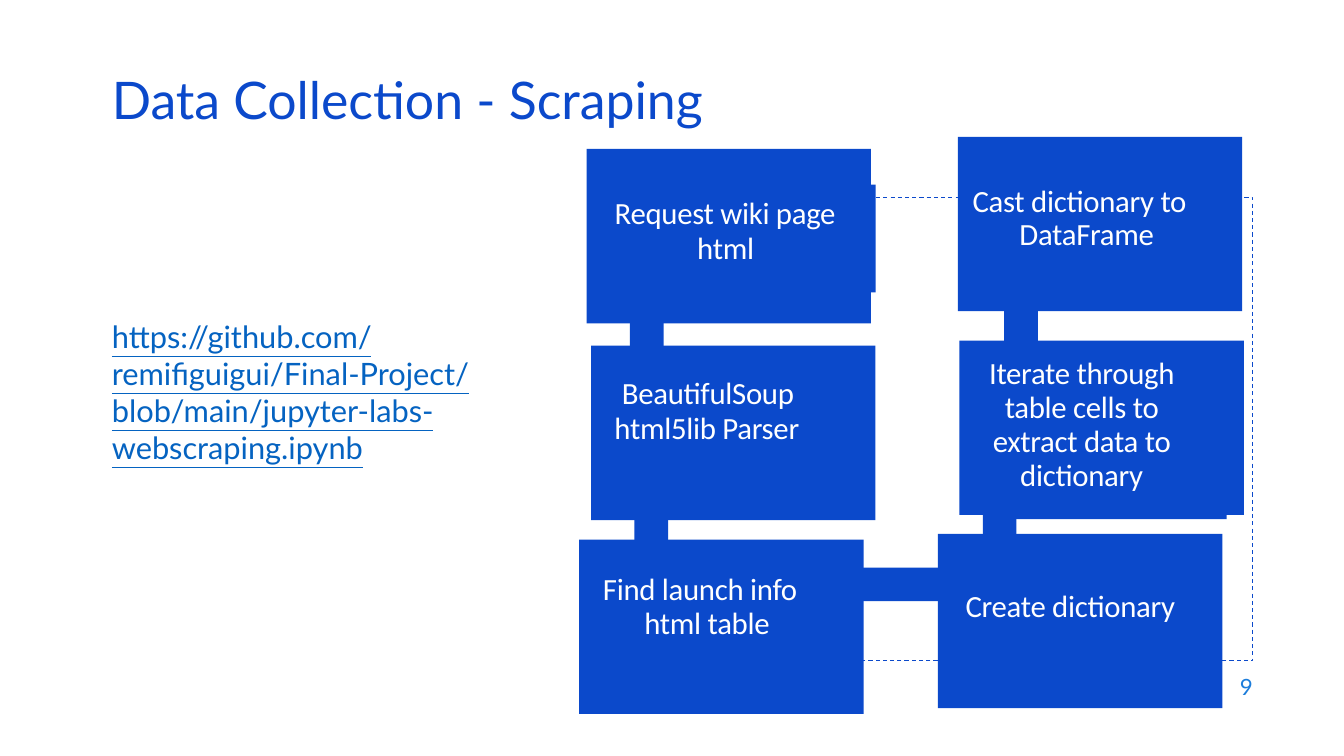
from pptx import Presentation
from pptx.dml.color import RGBColor
from pptx.enum.dml import MSO_LINE
from pptx.enum.shapes import MSO_SHAPE
from pptx.enum.text import MSO_ANCHOR, MSO_AUTO_SIZE, PP_ALIGN
from pptx.util import Pt
from lxml.etree import SubElement
from pptx.oxml.ns import qn

BLUE, LINK, PAGE, WHITE = "0B49CB", "0563C1", "1C7DDB", "FFFFFF"
CARD_W, CARD_H, BAR = 203.2, 124.6, 24
LEFT, MID = PP_ALIGN.LEFT, PP_ALIGN.CENTER


def color(hexa):
    return RGBColor.from_string(hexa)


def place(shape, box):
    shape.left, shape.top, shape.width, shape.height = map(Pt, box)


def setup(frame, anchor=MSO_ANCHOR.TOP):
    frame.word_wrap = True
    frame.auto_size = MSO_AUTO_SIZE.NONE
    frame.vertical_anchor = anchor


def style(para, size, hexa, font="Lato", align=LEFT):
    para.alignment = align
    para.font.name, para.font.size = font, Pt(size)
    para.font.color.rgb = color(hexa)


def indent(para, margin, first):
    props = para._p.get_or_add_pPr()
    props.set("marL", str(Pt(margin)))
    props.set("indent", str(Pt(first)))
    return props


def rect(slide, box, filled=True):
    shape = slide.shapes.add_shape(MSO_SHAPE.RECTANGLE, *map(Pt, box))
    shape.shadow.inherit = False
    if filled:
        shape.fill.solid()
        shape.fill.fore_color.rgb = color(BLUE)
        shape.line.fill.background()
    else:
        shape.fill.background()
        shape.line.color.rgb = color(BLUE)
        shape.line.width = Pt(0.75)
        shape.line.dash_style = MSO_LINE.DASH


def title(slide, box, text):
    shape = slide.shapes.title
    place(shape, box)
    setup(shape.text_frame, MSO_ANCHOR.MIDDLE)
    para = shape.text_frame.paragraphs[0]
    para.text, para.line_spacing = text, 0.7
    style(para, 37, BLUE)


def link(slide, box, text):
    shape = slide.placeholders[1]
    place(shape, box)
    setup(shape.text_frame)
    para = shape.text_frame.paragraphs[0]
    para.text, para.space_before = text, Pt(0)
    SubElement(indent(para, 0, 0), qn("a:buNone"))
    style(para, 22, LINK)
    para.font.underline = True


def number(slide, box, text):
    frame = slide.shapes.add_textbox(*map(Pt, box)).text_frame
    setup(frame, MSO_ANCHOR.MIDDLE)
    para = frame.paragraphs[0]
    para.text = text
    style(para, 16, PAGE, align=PP_ALIGN.RIGHT)


def label(slide, box, lines, align, space):
    frame = slide.shapes.add_textbox(*map(Pt, box)).text_frame
    setup(frame)
    frame.margin_left = frame.margin_right = 0
    frame.margin_top = frame.margin_bottom = 0
    for i, (text, margin, first) in enumerate(lines):
        para = frame.paragraphs[0] if i == 0 else frame.add_paragraph()
        run = para.add_run()
        run.text = text
        run._r.get_or_add_rPr().set("spc", "-20")
        indent(para, margin, first)
        para.line_spacing = space
        style(para, 22, WHITE, "Calibri", align)


def step(slide, x, y, parts, spot, lines, align=LEFT, space=Pt(25.2)):
    # Parts and text spot are offsets from the card's corner
    def shift(box):
        return x + box[0], y + box[1], box[2], box[3]

    for part in parts:
        rect(slide, shift(part))
    rect(slide, (x, y, CARD_W, CARD_H))
    label(slide, shift(spot), lines, align, space)


def flow(slide, box):
    x, y, w, h = box
    rect(slide, box, filled=False)
    down = (31, 30, BAR, 152)
    up = (32, -118, BAR, 152)

    # Left column, going down
    step(slide, x - 46, y - 34.7, [down, (2, 25.5, 204.5, 77)],
         (15.5, 33, 167, 53),
         [("Request wiki page", 0, 0), ("html", 0.7, 0)], MID)
    step(slide, x - 42.8, y + 105.8, [down], (16, 21, 140, 53),
         [("BeautifulSoup", 6, 0), ("html5lib Parser", 0.7, 0)])
    step(slide, x - 51.3, y + 244.3, [(40, 20, 267, BAR)],
         (16, 23.5, 146, 53),
         [("Find launch info html table", 30.5, -29.5)], space=Pt(24.3))

    # Right column, going up
    step(slide, x + 205, y + 240.2, [up], (19, 38, 160, 28),
         [("Create dictionary", 0.7, 0)], space=1.0)
    step(slide, x + 220.3, y + 102.2, [up, (17, 1.5, 174, 126)],
         (19, 12, 136, 101),
         [("Iterate through table cells to extract data to dictionary",
           0.7, 0)], MID, 0.92)
    step(slide, x + 219.2, y - 43.4, [], (10, 34, 162, 53),
         [("Cast dictionary to DataFrame", 34, -33.5)], space=Pt(24.2))


def main():
    deck = Presentation()
    deck.slide_width, deck.slide_height = Pt(960), Pt(540)
    slide = deck.slides.add_slide(deck.slide_layouts[1])
    number(slide, (686, 474.5, 216, 32), "9")
    link(slide, (72.7, 223.5, 309.6, 218),
         "https://github.com/remifiguigui/Final-Project/"
         "blob/main/jupyter-labs-webscraping.ipynb")
    title(slide, (72.7, 54.7, 828, 43), "Data Collection - Scraping")
    flow(slide, (465, 141.1, 430, 331))
    deck.save("out.pptx")


if __name__ == "__main__":
    main()
